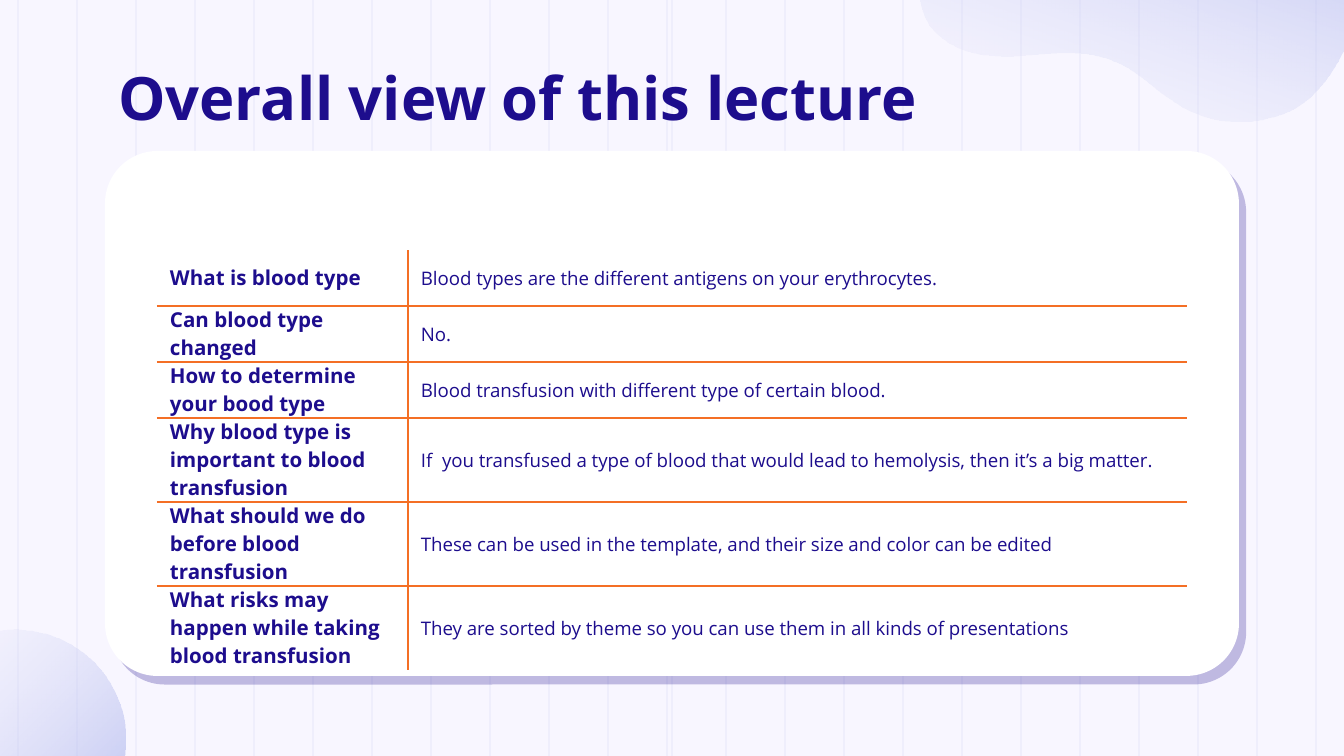
"""Build the lecture overview slide with a question and answer table."""
import pptx
import pptx.dml.color
import pptx.enum.shapes
import pptx.enum.text
import pptx.oxml
import pptx.oxml.ns
import pptx.util

PX = 914400 / 134.4
INK, GRID, ORANGE = "1D0D8D", "EFEEFC", "F46F25"
NAMESPACE = pptx.oxml.ns.nsdecls("a")


def px(*lengths):
    return [pptx.util.Emu(round(length * PX)) for length in lengths]


def color(value):
    return pptx.dml.color.RGBColor.from_string(value)


presentation = pptx.Presentation()
presentation.slide_width, presentation.slide_height = px(1344, 756)
slide = presentation.slides.add_slide(presentation.slide_layouts[6])
slide.background.fill.solid()
slide.background.fill.fore_color.rgb = color("F8F6FF")
shapes = slide.shapes

for x in [18 + 59 * column for column in range(23)] + [672]:
    line = shapes.add_connector(pptx.enum.shapes.MSO_CONNECTOR.STRAIGHT, *px(x, -37, x, 794))
    line.line.color.rgb = color(GRID)
    line.line.width = pptx.util.Pt(0.75)
    line._element.spPr.append(pptx.oxml.parse_xml(f"<a:effectLst {NAMESPACE}/>"))

start = (950, -52)
curves = [
    ((946, -51), (943, -48), (941, -46)), ((926, -34), (917, -13), (921, 5)),
    ((925, 30), (948, 46), (970, 52)), ((995, 59), (1019, 56), (1044, 54)),
    ((1068, 52), (1094, 52), (1116, 62)), ((1142, 73), (1161, 97), (1188, 110)),
    ((1226, 129), (1279, 125), (1310, 97)), ((1339, 69), (1367, 19), (1344, -30)),
    ((1328, -65), (1288, -112), (1253, -114)), ((1253, -114), (1141, -159), (950, -52)),
]
points = [start]
for first, second, end in curves:
    origin = points[-1]
    for t in [step / 12 for step in range(1, 13)]:
        weights = ((1 - t) ** 3, 3 * t * (1 - t) ** 2, 3 * t * t * (1 - t), t ** 3)
        anchors = (origin, first, second, end)
        points.append(tuple(sum(w * p[axis] for w, p in zip(weights, anchors)) for axis in (0, 1)))
builder = shapes.build_freeform(*px(*start), scale=1.0)
builder.add_line_segments([px(*point) for point in points[1:]], close=True)
blob = builder.convert_to_shape()
circle = shapes.add_shape(pptx.enum.shapes.MSO_SHAPE.OVAL, *px(-94, 630, 219, 219))

for shape, angle in ((blob, 71), (circle, 315)):
    shape.fill.gradient()
    shape.fill.gradient_angle = angle
    for stop, value, opacity in zip(shape.fill.gradient_stops, (GRID, "9BA6E9"), (13, 69)):
        stop.color.rgb = color(value)
        stop._gs[0].append(pptx.oxml.parse_xml(f'<a:alpha {NAMESPACE} val="{opacity * 1000}"/>'))
    shape.line.fill.background()
    shape.shadow.inherit = False

card = shapes.add_shape(pptx.enum.shapes.MSO_SHAPE.ROUNDED_RECTANGLE, *px(105, 151, 1134, 525))
card.adjustments[0] = 0.1
card.fill.solid()
card.fill.fore_color.rgb = color("FFFFFF")
card.line.fill.background()
card._element.spPr.append(pptx.oxml.parse_xml(
    f'<a:effectLst {NAMESPACE}><a:outerShdw blurRad="0" dist="76200" dir="3000000" algn="bl" '
    f'rotWithShape="0"><a:srgbClr val="{INK}"><a:alpha val="25000"/></a:srgbClr>'
    '</a:outerShdw></a:effectLst>'))

title = shapes.add_textbox(*px(105, 54, 1134, 103))
title.text_frame.word_wrap = True
title.text_frame.vertical_anchor = pptx.enum.text.MSO_ANCHOR.TOP
title.text_frame.margin_top, title.text_frame.margin_bottom = px(7, 7)
title.text_frame.text = "Overall view of this lecture"
font = title.text_frame.paragraphs[0].runs[0].font
font.name, font.size, font.bold = "Open Sans", pptx.util.Pt(32), True
font.color.rgb = color(INK)

questions = [
    (56, "What is blood type", "Blood types are the different antigens on your erythrocytes."),
    (56, "Can blood type changed", "No."),
    (56, "How to determine your bood type", "Blood transfusion with different type of certain blood."),
    (84, "Why blood type is important to blood transfusion",
     "If  you transfused a type of blood that would lead to hemolysis, then it’s a big matter."),
    (84, "What should we do before blood transfusion",
     "These can be used in the template, and their size and color can be edited"),
    (84, "What risks may happen while taking blood transfusion",
     "They are sorted by theme so you can use them in all kinds of presentations"),
]
last = len(questions) - 1
table = shapes.add_table(len(questions), 2, *px(157, 250, 1030, 420)).table
table.first_row = table.horz_banding = False
table.columns[0].width, table.columns[1].width = px(251, 779)
for row, (height, *texts) in enumerate(questions):
    table.rows[row].height = px(height)[0]
    for column, text in enumerate(texts):
        cell = table.cell(row, column)
        cell.vertical_anchor = pptx.enum.text.MSO_ANCHOR.MIDDLE
        cell.margin_left, cell.margin_top, cell.margin_right, cell.margin_bottom = px(13, 0, 13, 0)
        cell.text_frame.text = text
        font = cell.text_frame.paragraphs[0].runs[0].font
        font.name, font.size = "Open Sans", pptx.util.Pt(10 if column else 11)
        font.bold = column == 0
        font.color.rgb = color(INK)
        edges = {"L": column == 1, "R": column == 0, "T": row > 0, "B": row < last}
        for side, visible in edges.items():
            paint = f'<a:solidFill><a:srgbClr val="{ORANGE}"/></a:solidFill>' if visible else "<a:noFill/>"
            cell._tc.get_or_add_tcPr().append(pptx.oxml.parse_xml(
                f'<a:ln{side} {NAMESPACE} w="19050">{paint}</a:ln{side}>'))
        cell.fill.background()

presentation.save("out.pptx")
